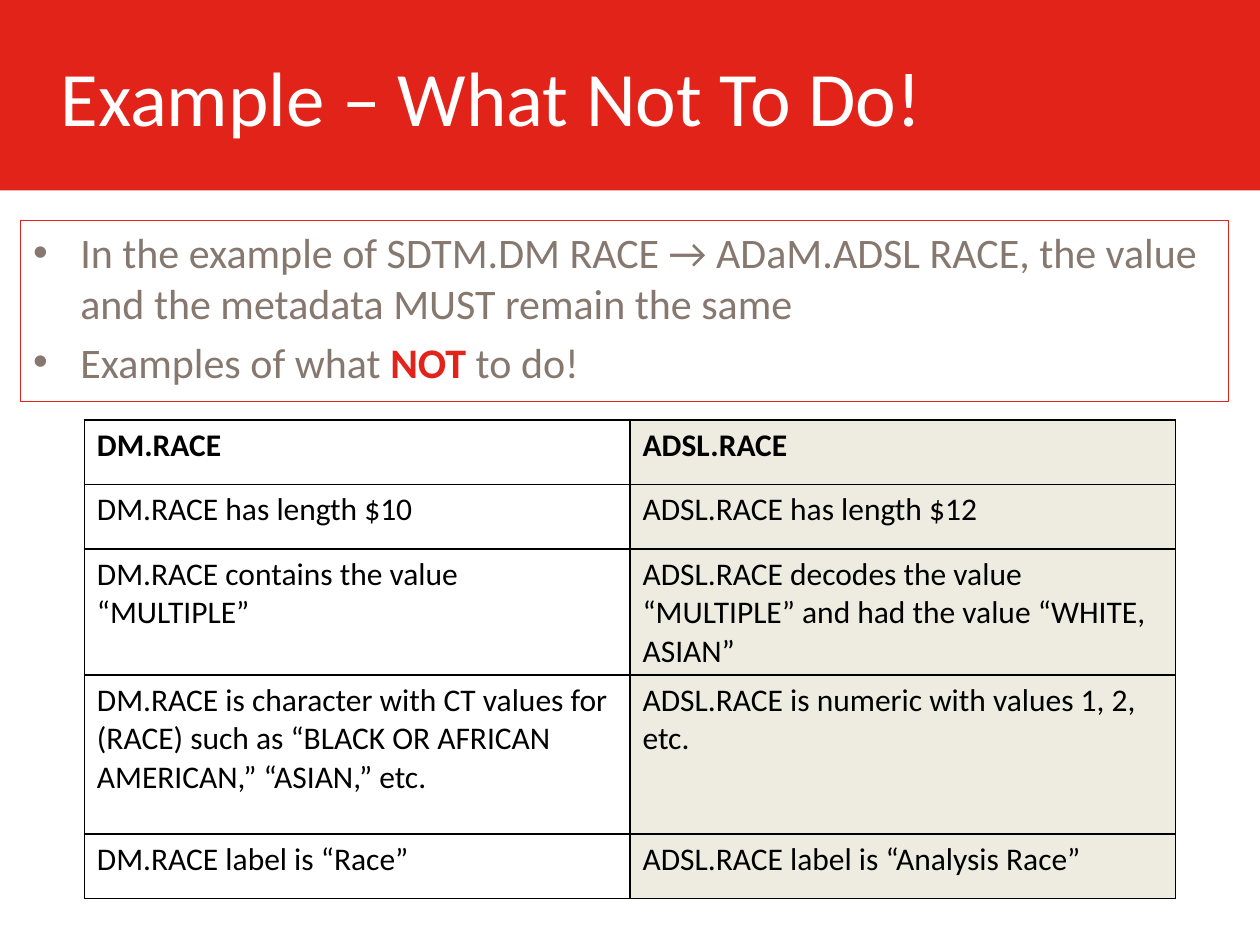
import pptx
import pptx.dml.color
import pptx.enum.shapes
import pptx.enum.text
import pptx.oxml
import pptx.oxml.ns
import pptx.util
from pptx.util import Cm, Pt

COLORS = {
    "red": "E2231A",
    "white": "FFFFFF",
    "taupe": "86786F",
    "black": "000000",
    "beige": "EEECE1",
}
FONT = "Calibri"
TITLE_ONLY = 5

BULLETS = [
    [("In the example of SDTM.DM RACE → ADaM.ADSL RACE, the value "
      "and the metadata MUST remain the same", False)],
    [("Examples of what ", False), ("NOT", True), (" to do!", False)],
]
COMPARISON = [
    ("DM.RACE", "ADSL.RACE"),
    ("DM.RACE has length $10", "ADSL.RACE has length $12"),
    ("DM.RACE contains the value “MULTIPLE”",
     "ADSL.RACE decodes the value “MULTIPLE” and had the value “WHITE, ASIAN”"),
    ("DM.RACE is character with CT values for (RACE) such as "
     "“BLACK OR AFRICAN AMERICAN,” “ASIAN,” etc.",
     "ADSL.RACE is numeric with values 1, 2, etc."),
    ("DM.RACE label is “Race”", "ADSL.RACE label is “Analysis Race”"),
]
ROW_HEIGHTS = [1.3, 1.3, 2.26, 3.2, 1.3]


def rgb(name):
    return pptx.dml.color.RGBColor.from_string(COLORS[name])


def add_xml(parent, xml):
    namespace = pptx.oxml.ns.nsdecls("a")
    parent.append(pptx.oxml.parse_xml(xml.replace("/>", f" {namespace}/>", 1)
                                      if xml.endswith("/>") and xml.count("<") == 1
                                      else xml.replace(">", f" {namespace}>", 1)))


class SlideBuilder:
    def __init__(self, slide):
        self.slide = slide

    def style(self, font, size, color, bold=False):
        font.name = FONT
        font.size = Pt(size)
        font.bold = bold
        font.color.rgb = rgb(color)

    def title(self, text, left, top, width, height):
        title = self.slide.shapes.title
        title.left, title.top = Cm(left), Cm(top)
        title.width, title.height = Cm(width), Cm(height)
        frame = title.text_frame
        frame.text = text
        frame.vertical_anchor = pptx.enum.text.MSO_ANCHOR.MIDDLE
        frame.margin_left = frame.margin_right = Cm(0.25)
        frame.margin_top = frame.margin_bottom = Cm(0.25)
        paragraph = frame.paragraphs[0]
        paragraph.alignment = pptx.enum.text.PP_ALIGN.LEFT
        self.style(paragraph.runs[0].font, 44, "white")

    def title_band(self, width, height):
        """Add the coloured band behind the title."""
        band = self.slide.shapes.add_shape(
            pptx.enum.shapes.MSO_SHAPE.RECTANGLE, 0, 0, width, height)
        band.shadow.inherit = False
        band.fill.solid()
        band.fill.fore_color.rgb = rgb("red")
        band.line.fill.background()
        self.slide.shapes.title.element.addprevious(band.element)

    def bullet_box(self, bullets, left, top, width, height):
        box = self.slide.shapes.add_textbox(Cm(left), Cm(top), Cm(width), Cm(height))
        box.line.color.rgb = rgb("red")
        box.line.width = Pt(0.75)
        frame = box.text_frame
        frame.word_wrap = True
        for index, parts in enumerate(bullets):
            paragraph = frame.add_paragraph() if index else frame.paragraphs[0]
            properties = paragraph._p.get_or_add_pPr()
            properties.set("marL", str(Cm(0.95)))
            properties.set("indent", str(-Cm(0.95)))
            if index:
                paragraph.space_before = Pt(4.8)
            add_xml(properties, '<a:buFont typeface="Arial"/>')
            add_xml(properties, '<a:buChar char="•"/>')
            for text, emphasized in parts:
                run = paragraph.add_run()
                run.text = text
                self.style(run.font, 24, "red" if emphasized else "taupe", emphasized)

    def cell_borders(self, cell):
        properties = cell._tc.get_or_add_tcPr()
        for side in "LRTB":
            add_xml(properties,
                    f'<a:ln{side} w="{Pt(1)}"><a:solidFill>'
                    f'<a:srgbClr val="{COLORS["black"]}"/></a:solidFill></a:ln{side}>')

    def table(self, rows, row_heights, left, top, width):
        columns = len(rows[0])
        table = self.slide.shapes.add_table(
            len(rows), columns, Cm(left), Cm(top), Cm(width), Cm(sum(row_heights))).table
        table.horz_banding = False
        for column in table.columns:
            column.width = Cm(width / columns)
        for row_index, (texts, height) in enumerate(zip(rows, row_heights)):
            table.rows[row_index].height = Cm(height)
            for column_index, text in enumerate(texts):
                cell = table.cell(row_index, column_index)
                cell.text_frame.text = text
                self.style(cell.text_frame.paragraphs[0].runs[0].font,
                           18, "black", bold=row_index == 0)
                self.cell_borders(cell)
                cell.fill.solid()
                cell.fill.fore_color.rgb = rgb("beige" if column_index else "white")


def main():
    presentation = pptx.Presentation()
    presentation.slide_width = Cm(25.4)
    presentation.slide_height = Cm(19.05)
    slide = presentation.slides.add_slide(presentation.slide_layouts[TITLE_ONLY])
    builder = SlideBuilder(slide)
    builder.title("Example – What Not To Do!", 0.97, 0.33, 23.6, 3.18)
    builder.title_band(presentation.slide_width, Cm(3.84))
    builder.bullet_box(BULLETS, 0.42, 4.45, 24.34, 3.65)
    builder.table(COMPARISON, ROW_HEIGHTS, 1.7, 8.47, 22)
    presentation.save("out.pptx")


if __name__ == "__main__":
    main()
